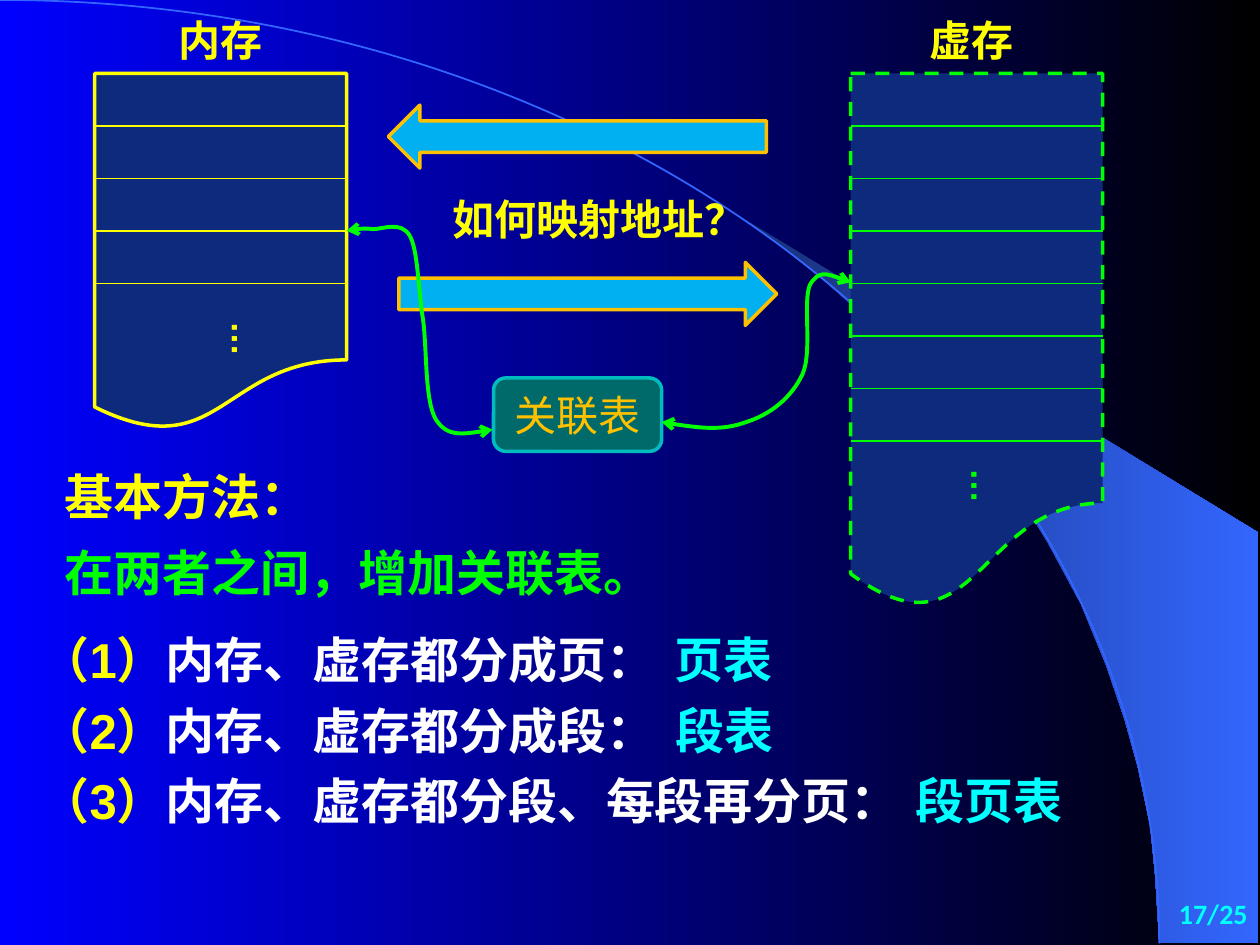
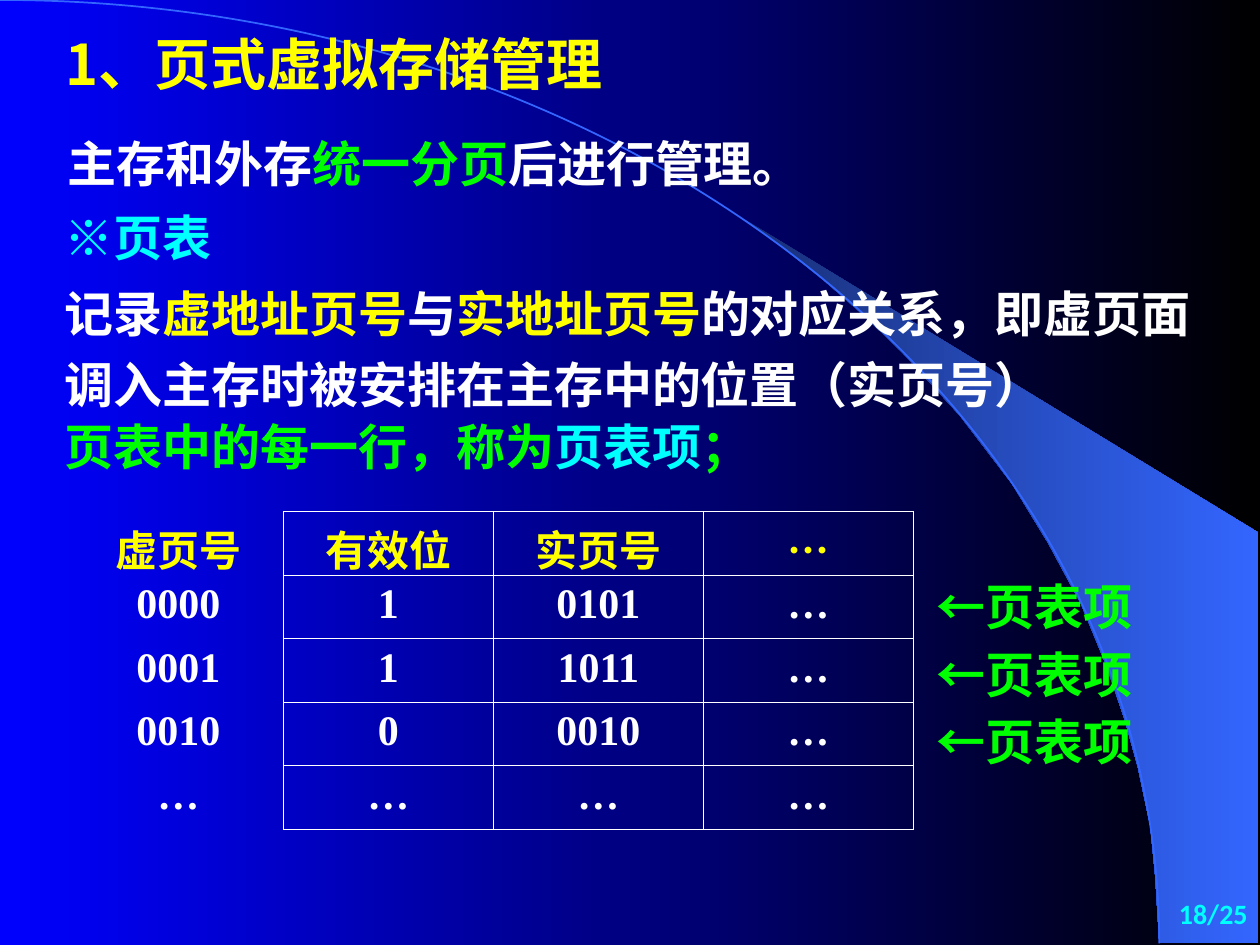
from dataclasses import dataclass

from lxml import etree
from pptx import Presentation
from pptx.dml.color import RGBColor
from pptx.enum.dml import MSO_LINE
from pptx.enum.shapes import MSO_CONNECTOR, MSO_SHAPE
from pptx.enum.text import MSO_ANCHOR, PP_ALIGN
from pptx.oxml.ns import qn
from pptx.util import Cm, Pt

LEFT, CENTER, RIGHT = PP_ALIGN.LEFT, PP_ALIGN.CENTER, PP_ALIGN.RIGHT
TOP, MIDDLE = MSO_ANCHOR.TOP, MSO_ANCHOR.MIDDLE
LEFT_ARROW, RIGHT_ARROW = MSO_SHAPE.LEFT_ARROW, MSO_SHAPE.RIGHT_ARROW
DOCUMENT, ROUNDED = MSO_SHAPE.FLOWCHART_DOCUMENT, MSO_SHAPE.ROUNDED_RECTANGLE
STRAIGHT, DASH = MSO_CONNECTOR.STRAIGHT, MSO_LINE.DASH


@dataclass(frozen=True)
class Theme:
    backdrop: tuple = ("0000FF", "000000")
    swoosh: tuple = ("182F76", "3366FF")
    arc: str = "3366FF"
    yellow: str = "FFFF00"
    green: str = "00FF00"
    cyan: str = "00FFFF"
    white: str = "FFFFFF"
    orange: str = "FFC000"
    arrow: str = "00B0F0"
    memory: str = "0E2A7C"
    link_table: str = "006A6A"
    link_table_edge: str = "00BCBC"
    latin: str = "Arial"
    chinese: str = "Noto Sans CJK SC"
    digits: str = "Times New Roman"
    footer: str = "Calibri"
    title_size: int = 32
    body_size: int = 28
    label_size: int = 24
    dots_size: int = 20
    footer_size: int = 16


T = Theme()

# All positions and lengths below are in centimetres.
SLIDE_SIZE = (25.4, 19.05)
PAGE_COUNT = 25
PAGE_BOX = (20.12, 17.78, 5.28, 1.27)
ARC = [(0, 0), (12.9, 0), (23.37, 8.51), (23.37, 19.02)]
SWOOSH = [
    (23.37, 19), (25.37, 19.02), (25.37, 10.74), (14.96, 4.39), (15.85, 5.05),
    (16.59, 5.64), (17.4, 6.35), (18.19, 7.11), (19.35, 8.38), (20.4, 9.75),
    (21.13, 10.95), (21.79, 12.17), (22.3, 13.41), (22.68, 14.53), (22.94, 15.47),
    (23.19, 16.66), (23.29, 17.68), (23.37, 19),
]

MEMORIES = [
    dict(name="内存", left=1.91, height=7.2, colour=T.yellow, dash=None, dividers=4,
         name_box=(3.18, 0, 2.54, 1.6), dots_box=(4.16, 6.23, 1.35, 0.97)),
    dict(name="虚存", left=17.15, height=10.8, colour=T.green, dash=DASH, dividers=7,
         name_box=(17.58, 0, 4.01, 1.6), dots_box=(19.07, 9.2, 1.35, 0.97)),
]
MEMORY_WIDTH, MEMORY_ROW = 5.08, 12.7 / 12
MEMORY_TOP = 2.54 - MEMORY_ROW

TRANSFERS = [(LEFT_ARROW, 7.83, 2.12), (RIGHT_ARROW, 8.04, 5.29)]
TRANSFER_SIZE = (7.62, 1.27)
QUESTION = ("如何映射地址？", (8.65, 3.61, 6.02, 1.6))
LINK_TABLE = ("关联表", (9.95, 7.62, 3.39, 1.48))
LINKS = [
    [(6.99, 4.65), (7.14, 4.62), (7.32, 4.6), (7.52, 4.62),
     (7.72, 4.62), (8.08, 4.45), (8.26, 4.75),
     (8.43, 5.05), (8.43, 5.84), (8.53, 6.45),
     (8.61, 7.06), (8.56, 8.08), (8.79, 8.46),
     (9.02, 8.81), (9.47, 8.74), (9.93, 8.66)],
    [(13.34, 8.51), (13.94, 8.61), (14.55, 8.69), (15.04, 8.51),
     (15.52, 8.36), (15.95, 8.03), (16.18, 7.54),
     (16.38, 7.09), (16.18, 6.07), (16.33, 5.74),
     (16.51, 5.44), (16.81, 5.56), (17.15, 5.69)],
]
APPROACH = [
    ("基本方法：", T.yellow, (1.06, 9.2, 6.02, 1.6)),
    ("在两者之间，增加关联表。", T.green, (1.06, 10.72, 14.17, 1.6)),
]
METHODS = [  # what is divided, width, resulting table, its left edge
    ("内存、虚存都分成页：", 13.41, "页表", 13.34),
    ("内存、虚存都分成段：", 15.44, "段表", 13.36),
    ("内存、虚存都分段、每段再分页：", 18.5, "段页表", 18.21),
]
METHOD_LEFT, METHOD_TOP, METHOD_STEP, METHOD_HEIGHT = 0.57, 12.49, 1.42, 1.6

PAGING_TITLE = ("1、页式虚拟存储管理", (1.07, 0.21, 13.34, 2.12))
PAGING_TEXT = [  # box, line spacing, runs
    ((1.12, 2.57, 15.29, 1.45), None,
     [("主存和外存", T.white), ("统一分页", T.green), ("后进行管理。", T.white)]),
    ((1.06, 4.06, 6.35, 1.45), None, [("※", T.cyan), ("页表", T.cyan, T.latin)]),
    ((1.06, 5.36, 23.7, 3.1), 1.2,
     [("记录", T.white), ("虚地址页号", T.yellow, T.latin), ("与", T.white, T.latin),
      ("实地址页号", T.yellow, T.latin),
      ("的对应关系，即虚页面调入主存时被安排在主存中的位置（实页号）", T.white, T.latin)]),
    ((1.06, 8.28, 15.24, 1.45), None,
     [("页表中的每一行，称为", T.green), ("页表项", T.cyan), ("；", T.green)]),
]
PAGE_TABLE = [
    ("虚页号", "有效位", "实页号", "…"),
    ("0000", "1", "0101", "…"),
    ("0001", "1", "1011", "…"),
    ("0010", "0", "0010", "…"),
    ("…", "…", "…", "…"),
]
TABLE_LEFT, TABLE_TOP, COLUMN_WIDTH, ROW_HEIGHT = 1.48, 10.31, 12.7 / 3, 1.28
ENTRY, ENTRY_COUNT = "←页表项", 3
ENTRY_LEFT, ENTRY_TOP, ENTRY_STEP = 18.63, 11.5, 1.36


def cms(values):
    return [Cm(value) for value in values]


def rgb(colour):
    return RGBColor.from_string(colour)


def gradient(fill, colours):
    fill.gradient()
    fill.gradient_angle = 0
    for stop, colour in zip(fill.gradient_stops, colours):
        stop.color.rgb = rgb(colour)


def style_run(run, face, size, colour, bold):
    font = run.font
    font.name, font.size, font.bold = face, Pt(size), bold
    font.color.rgb = rgb(colour)
    east_asian = etree.SubElement(run._r.get_or_add_rPr(), qn("a:ea"))
    east_asian.set("typeface", T.chinese)


def fill_text(frame, runs, size, face, align, bold=True):
    """Write (text, colour[, face]) runs into the first paragraph."""
    paragraph = frame.paragraphs[0]
    paragraph.alignment = align
    for text, colour, *own_face in runs:
        run = paragraph.add_run()
        run.text = text
        style_run(run, own_face[0] if own_face else face, size, colour, bold)


def add_text(slide, box, runs, size=T.body_size, face=T.latin, align=LEFT,
             anchor=MIDDLE, wrap=False):
    frame = slide.shapes.add_textbox(*cms(box)).text_frame
    frame.word_wrap, frame.vertical_anchor = wrap, anchor
    fill_text(frame, runs, size, face, align)
    return frame


def outline(shape, colour, width, fill=None):
    shape.shadow.inherit = False
    shape.line.color.rgb, shape.line.width = rgb(colour), Pt(width)
    if fill:
        shape.fill.solid()
        shape.fill.fore_color.rgb = rgb(fill)
    else:
        shape.fill.background()


def add_path(slide, points, close=False):
    start, *rest = [cms(point) for point in points]
    builder = slide.shapes.build_freeform(*start)
    builder.add_line_segments(rest, close=close)
    return builder.convert_to_shape()


def add_curve(slide, controls, colour, width):
    """Draw cubic curves; each takes three points after the one before."""
    curve = add_path(slide, controls)
    segments = list(curve._element.iter(qn("a:lnTo")))
    for first in range(0, len(segments), 3):
        cubic = etree.Element(qn("a:cubicBezTo"))
        segments[first].addprevious(cubic)
        for segment in segments[first:first + 3]:
            cubic.append(segment[0])
            segment.getparent().remove(segment)
    outline(curve, colour, width)
    return curve


def add_base_slide(prs, page):
    slide = prs.slides.add_slide(prs.slide_layouts[6])
    swoosh = add_path(slide, SWOOSH)
    swoosh.shadow.inherit = False
    swoosh.line.fill.background()
    gradient(swoosh.fill, T.swoosh)
    add_curve(slide, ARC, T.arc, 1)
    add_text(slide, PAGE_BOX, [(f"{page}/{PAGE_COUNT}", T.cyan)], T.footer_size,
             T.footer, RIGHT, wrap=True)
    return slide


def add_memory(slide, name, left, height, colour, dash, dividers, name_box, dots_box):
    block = slide.shapes.add_shape(
        DOCUMENT, *cms((left, MEMORY_TOP, MEMORY_WIDTH, height)))
    outline(block, colour, 2, T.memory)
    if dash:
        block.line.dash_style = dash
    add_text(slide, name_box, [(name, T.yellow)], T.label_size, align=CENTER)
    for row in range(1, dividers + 1):
        y = MEMORY_TOP + row * MEMORY_ROW
        divider = slide.shapes.add_connector(
            STRAIGHT, *cms((left, y, left + MEMORY_WIDTH, y)))
        divider.line.color.rgb, divider.line.width = rgb(colour), Pt(0.75)
        etree.SubElement(divider._element.spPr, qn("a:effectLst"))
    dots = add_text(slide, dots_box, [("…", colour)], T.dots_size, align=CENTER, anchor=TOP)
    dots.margin_left = dots.margin_right = Cm(0.13)
    dots.margin_top = dots.margin_bottom = Cm(0.25)
    dots._txBody.bodyPr.set("vert", "eaVert")


def add_link(slide, controls):
    line = add_curve(slide, controls, T.green, 2.25).line._get_or_add_ln()
    for end in ("a:headEnd", "a:tailEnd"):
        etree.SubElement(line, qn(end)).set("type", "arrow")


def build_mapping(prs):
    slide = add_base_slide(prs, 17)
    for kind, left, top in TRANSFERS:
        arrow = slide.shapes.add_shape(kind, *cms((left, top, *TRANSFER_SIZE)))
        outline(arrow, T.orange, 2, T.arrow)
    question, box = QUESTION
    add_text(slide, box, [(question, T.yellow)], T.label_size, align=CENTER)
    for text, colour, box in APPROACH:
        add_text(slide, box, [(text, colour)])
    for index, (division, width, table, table_left) in enumerate(METHODS):
        top = METHOD_TOP + index * METHOD_STEP
        add_text(slide, (METHOD_LEFT, top, width, METHOD_HEIGHT),
                 [(f"（{index + 1}）", T.yellow), (division, T.white)])
        add_text(slide, (table_left, top, 4, METHOD_HEIGHT), [(table, T.cyan)])
    for memory in MEMORIES:
        add_memory(slide, **memory)
    name, box = LINK_TABLE
    link_table = slide.shapes.add_shape(ROUNDED, *cms(box))
    outline(link_table, T.link_table_edge, 2, T.link_table)
    link_table.text_frame.vertical_anchor = MIDDLE
    fill_text(link_table.text_frame, [(name, T.orange)], T.label_size, T.chinese,
              CENTER, bold=False)
    for controls in LINKS:
        add_link(slide, controls)


def set_borders(cell, visible):
    """Draw the named sides (of L, R, T, B) and hide the others."""
    properties = cell._tc.get_or_add_tcPr()
    for index, side in enumerate("LRTB"):
        line = etree.Element(qn(f"a:ln{side}"), w=str(Pt(0.45)))
        if side in visible:
            paint = etree.SubElement(line, qn("a:solidFill"))
            etree.SubElement(paint, qn("a:srgbClr")).set("val", T.white)
        else:
            etree.SubElement(line, qn("a:noFill"))
        properties.insert(index, line)


def add_page_table(slide):
    rows, columns = len(PAGE_TABLE), len(PAGE_TABLE[0])
    table = slide.shapes.add_table(rows, columns, *cms(
        (TABLE_LEFT, TABLE_TOP, columns * COLUMN_WIDTH, rows * ROW_HEIGHT))).table
    table.first_row = table.horz_banding = False
    for r, values in enumerate(PAGE_TABLE):
        colour, face = (T.white, T.digits) if r else (T.yellow, T.chinese)
        for c, value in enumerate(values):
            cell = table.cell(r, c)
            cell.fill.background()
            set_borders(cell, "LRTB" if c else "R")
            fill_text(cell.text_frame, [(value, colour)], T.label_size, face, CENTER)


def build_paging(prs):
    slide = add_base_slide(prs, 18)
    title, box = PAGING_TITLE
    add_text(slide, box, [(title, T.yellow)], T.title_size, T.chinese, wrap=True)
    for box, spacing, runs in PAGING_TEXT:
        frame = add_text(slide, box, runs, face=T.chinese, anchor=TOP, wrap=True)
        if spacing:
            frame.paragraphs[0].line_spacing = spacing
    add_page_table(slide)
    for index in range(ENTRY_COUNT):
        add_text(slide, (ENTRY_LEFT, ENTRY_TOP + index * ENTRY_STEP, 5.28, 1.45),
                 [(ENTRY, T.green)], face=T.chinese, anchor=TOP, wrap=True)


def main():
    prs = Presentation()
    prs.slide_width, prs.slide_height = cms(SLIDE_SIZE)
    gradient(prs.slide_master.background.fill, T.backdrop)
    build_mapping(prs)
    build_paging(prs)
    prs.save("out.pptx")


if __name__ == "__main__":
    main()
